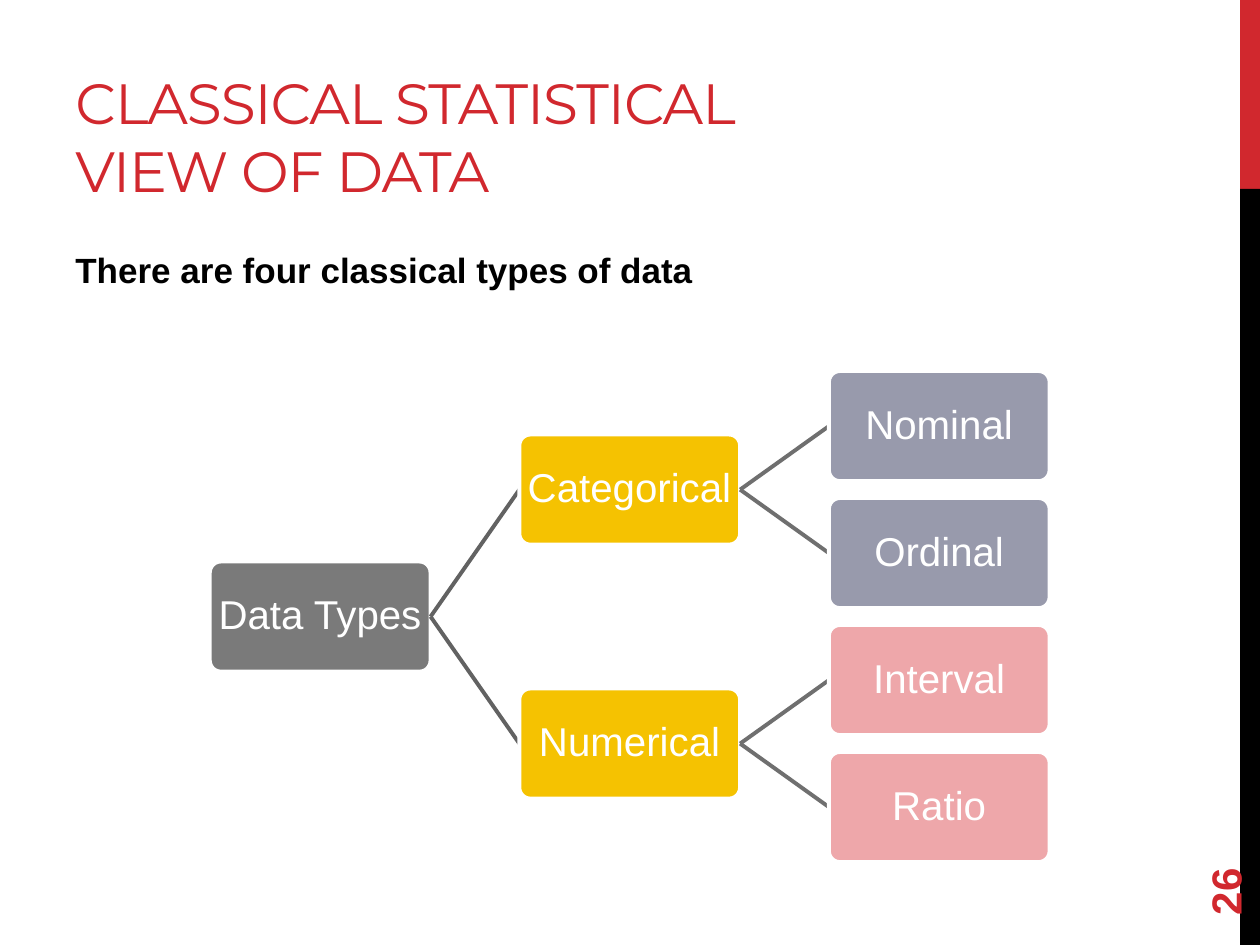
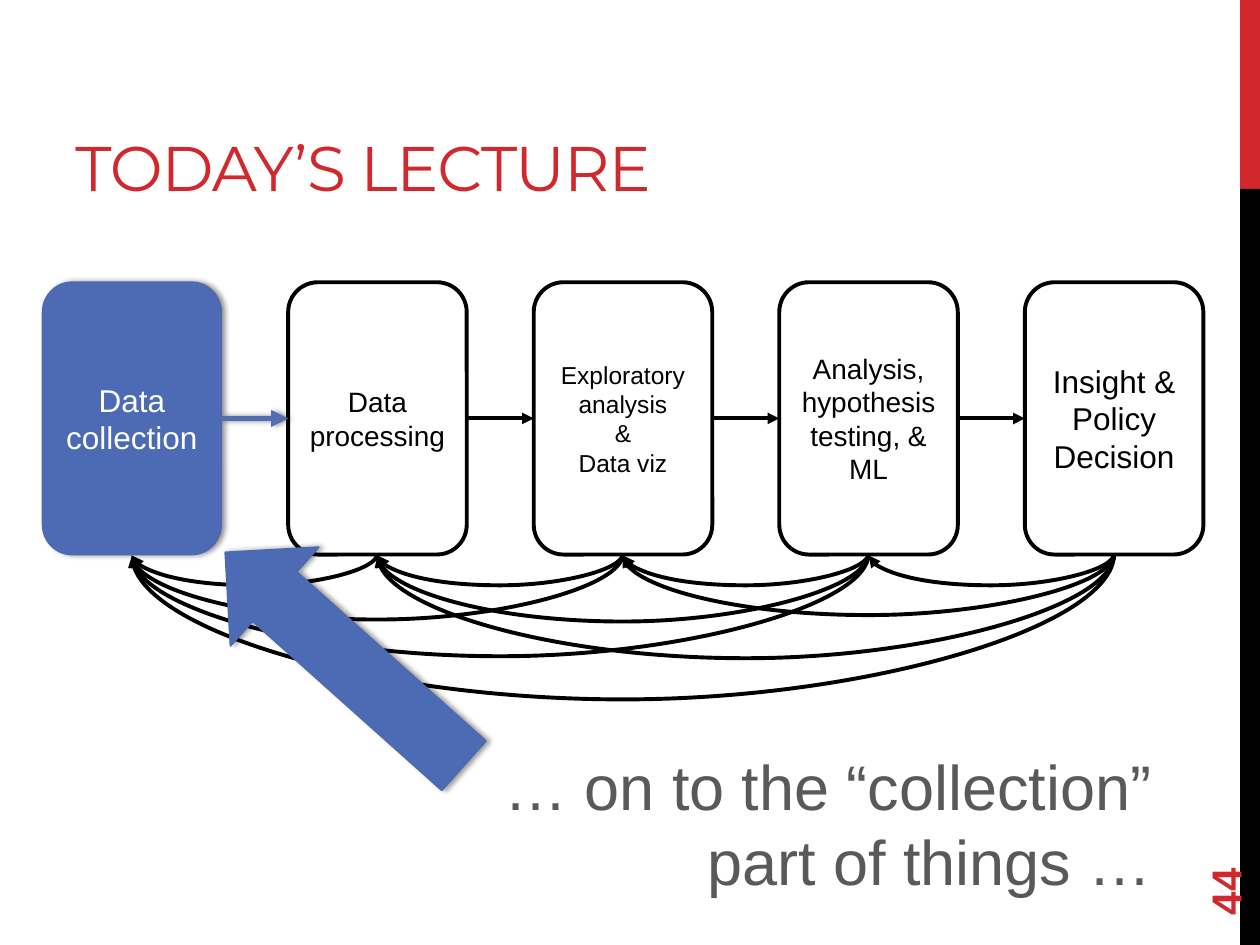
from lxml import etree
from pptx import Presentation
from pptx.dml.color import RGBColor
from pptx.enum.shapes import MSO_CONNECTOR as CONN, MSO_SHAPE as SHAPE
from pptx.enum.text import MSO_ANCHOR as ANCHOR, PP_ALIGN as ALIGN
from pptx.oxml.ns import qn
from pptx.util import Cm, Pt

RED = RGBColor(0xD1, 0x28, 0x2E)
BLACK = RGBColor(0x00, 0x00, 0x00)
WHITE = RGBColor(0xFF, 0xFF, 0xFF)
GRAY = RGBColor(0x7A, 0x7A, 0x7A)
DARK_GRAY = RGBColor(0x59, 0x59, 0x59)
GOLD = RGBColor(0xF5, 0xC2, 0x01)
SLATE = RGBColor(0x98, 0x9A, 0xAC)
PINK = RGBColor(0xEE, 0xA7, 0xAA)
ROOT_LINK = RGBColor(0x62, 0x62, 0x62)
LEAF_LINK = RGBColor(0x6F, 0x6F, 0x6F)
BLUE = RGBColor(0x4D, 0x6B, 0xB5)
BLUE_EDGE = RGBColor(0x4E, 0x6A, 0xAE)
BLUE_LINK = RGBColor(0x52, 0x6D, 0xB0)

DATA_TYPES = ("Data Types", GRAY, 1.5, [
    ("Categorical", GOLD, 0.5, [("Nominal", SLATE, 0, []), ("Ordinal", SLATE, 1, [])]),
    ("Numerical", GOLD, 2.5, [("Interval", PINK, 2, []), ("Ratio", PINK, 3, [])]),
])
STAGES = [
    ("Data collection", 18),
    ("Data processing", 16),
    ("Exploratory analysis\n&\nData viz", 14),
    ("Analysis, hypothesis testing, & ML", 16),
    ("Insight & Policy Decision", 18),
]
LOOP_DIPS = [(), (0.64,), (0.64, 1.33), (0.64, 1.37, 2.07), (0.64, 1.24, 2.11, 2.94)]


def write(shape, text, size=18, color=BLACK, font="Arial", bold=False, align=ALIGN.LEFT,
          anchor=ANCHOR.TOP, inset=None, line_spacing=None, tracking=None):
    """Fill a shape with one paragraph per line of text."""
    tf = shape.text_frame
    tf.word_wrap = True
    tf.vertical_anchor = anchor
    if inset is not None:
        tf.margin_left = tf.margin_right = tf.margin_top = tf.margin_bottom = Cm(inset)
    for i, line in enumerate(text.split("\n")):
        p = tf.add_paragraph() if i else tf.paragraphs[0]
        p.alignment = align
        if line_spacing:
            p.line_spacing = line_spacing
        r = p.add_run()
        r.text = line
        r.font.name, r.font.size, r.font.bold = font, Pt(size), bold
        r.font.color.rgb = color
        if tracking:
            r.font._element.set("spc", str(tracking))


def set_effects(shape, shadow):
    """Give a shape a soft shadow to its right, or none at all."""
    spPr = shape._element.spPr
    effects = etree.SubElement(spPr, qn("a:effectLst"))
    if shadow:
        outer = etree.SubElement(effects, qn("a:outerShdw"), blurRad="40000", dist="23000",
                                 dir="0", rotWithShape="0")
        black = etree.SubElement(outer, qn("a:srgbClr"), val="000000")
        etree.SubElement(black, qn("a:alpha"), val="40000")


class Deck:
    """Shared slide style and the slide being drawn."""

    def __init__(self):
        """Start an empty 4:3 presentation."""
        self.prs = Presentation()
        self.prs.slide_width, self.prs.slide_height = Cm(25.4), Cm(19.05)
        self.s = None

    def slide(self, title, number, title_size):
        """Add a slide with its side bands, title and number."""
        self.s = self.prs.slides.add_slide(self.prs.slide_layouts[6])
        self.shape(SHAPE.RECTANGLE, 25, 0, 0.4, 3.81, RED)
        self.shape(SHAPE.RECTANGLE, 25, 3.81, 0.4, 15.24, BLACK)
        self.text(title, 1.27, 0.43, 16.08, 3.81, size=title_size, color=RED,
                  font="Montserrat", anchor=ANCHOR.BOTTOM, tracking=-60)
        sp = self.text(str(number), 22.86, 16.36, 3.66, 1.02, size=24, color=RED,
                       bold=True, anchor=ANCHOR.MIDDLE)
        sp.rotation = 270

    def text(self, text, x, y, w, h, **style):
        """Add a text box."""
        sp = self.s.shapes.add_textbox(Cm(x), Cm(y), Cm(w), Cm(h))
        write(sp, text, **style)
        return sp

    def shape(self, kind, x, y, w, h, fill, edge=None, edge_width=2.25, shadow=False):
        """Add a filled preset shape."""
        sp = self.s.shapes.add_shape(kind, Cm(x), Cm(y), Cm(w), Cm(h))
        sp.fill.solid()
        sp.fill.fore_color.rgb = fill
        if edge is None:
            sp.line.fill.background()
        else:
            sp.line.color.rgb, sp.line.width = edge, Pt(edge_width)
        set_effects(sp, shadow)
        return sp

    def connector(self, kind, ends, color, width=2.25, arrow=True, shadow=False):
        """Add a connector between two points given in centimetres."""
        c = self.s.shapes.add_connector(kind, *map(Cm, ends))
        c.line.color.rgb, c.line.width = color, Pt(width)
        if arrow:
            etree.SubElement(c._element.spPr.find(qn("a:ln")), qn("a:tailEnd"), type="triangle")
        set_effects(c, shadow)
        return c

    def link(self, start, end, color, **style):
        """Join the right side of one box to the left side of another."""
        c = self.connector(CONN.STRAIGHT, (0, 0, 0, 0), color, **style)
        c.begin_connect(start, 3)
        c.end_connect(end, 1)
        return c

    def loop(self, x_from, x_to, y, dip):
        """Add an arrow that curves below y back to an earlier point."""
        drop, middle, half = 0.04, (x_from + x_to) / 2, (x_from - x_to) / 2
        ends = (middle - drop / 2, y - half, middle + drop / 2, y + half)
        c = self.connector(CONN.CURVE, ends, BLACK)
        spPr = c._element.spPr
        spPr.find(qn("a:xfrm")).set("rot", "5400000")
        guides = spPr.find(qn("a:prstGeom")).find(qn("a:avLst"))
        etree.SubElement(guides, qn("a:gd"), name="adj1", fmla=f"val {round(dip / drop * 100000)}")

    def tree(self, node, parent=None, depth=0):
        """Draw a node and its branches from left to right."""
        label, fill, row, children = node
        sp = self.shape(SHAPE.ROUNDED_RECTANGLE, 4.23 + depth * 6.24, 7.48 + row * 2.56,
                        4.45, 2.22, fill, WHITE)
        sp.adjustments[0] = 0.1
        write(sp, label, size=23, color=WHITE, align=ALIGN.CENTER, anchor=ANCHOR.MIDDLE,
              inset=0.05, line_spacing=0.9)
        if parent is not None:
            c = self.link(parent, sp, ROOT_LINK if depth == 1 else LEAF_LINK, arrow=False)
            sp._element.addprevious(c._element)
        for child in children:
            self.tree(child, sp, depth + 1)

    def pipeline(self, stages):
        """Draw the stages in a row with arrows onward and loops back."""
        left, top, w, h, pitch = 0.86, 5.69, 3.6, 5.49, 4.95
        previous = None
        for i, (label, size) in enumerate(stages):
            current = i == 0
            look = (BLUE, BLUE_EDGE, 1, True) if current else (WHITE, BLACK)
            sp = self.shape(SHAPE.ROUNDED_RECTANGLE, left + i * pitch, top, w, h, *look)
            write(sp, label, size=size, color=WHITE if current else BLACK,
                  align=ALIGN.CENTER, anchor=ANCHOR.MIDDLE)
            if i == 1:
                self.link(previous, sp, BLUE_LINK, width=3.25, shadow=True)
            elif i > 1:
                self.link(previous, sp, BLACK)
            middle = left + i * pitch + w / 2
            for span, dip in enumerate(LOOP_DIPS[i], 1):
                self.loop(middle, middle - span * pitch, top + h, dip)
            previous = sp


def main():
    """Build both slides and save them."""
    deck = Deck()

    deck.slide("CLASSICAL STATISTICAL VIEW OF DATA", 26, 32.4)
    deck.text("There are four classical types of data", 1.27, 4.88, 21.16, 1.2,
              size=20, bold=True)
    deck.tree(DATA_TYPES)

    deck.slide("TODAY’S LECTURE", 44, 36)
    deck.pipeline(STAGES)
    pointer = deck.shape(SHAPE.DOWN_ARROW, 5.61, 10.06, 2.67, 6.45, BLUE, BLUE_EDGE, 1, True)
    pointer.rotation = 131.8
    deck.text("… on to the “collection” part of things …", 9.07, 14.94, 14.4, 3.33,
              size=36, color=DARK_GRAY, align=ALIGN.RIGHT)

    deck.prs.save("out.pptx")


if __name__ == "__main__":
    main()
